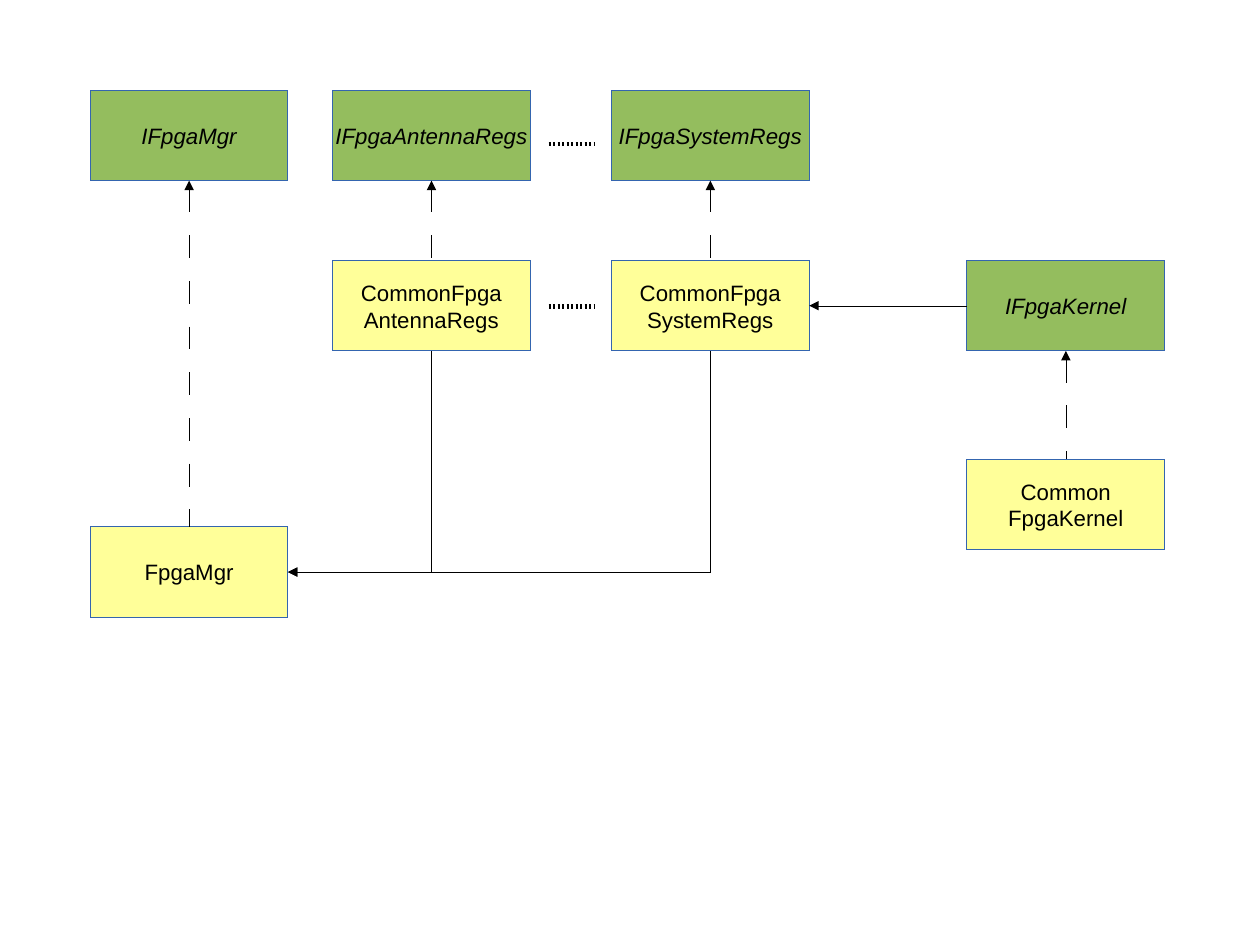
from lxml import etree
from pptx import Presentation
from pptx import util as u
from pptx.dml.color import RGBColor
from pptx.enum import shapes, text
from pptx.oxml import ns

COLORS = {"interface": "94BD5E", "class": "FFFF99", "border": "3465AF", "ink": "000000"}
BOX_WIDTH, BOX_HEIGHT = 1.73, 0.79
TOP, LEFT, BOTTOM, RIGHT = range(4)
INHERIT_DASH = (1885000, 1885000)
DOTS = (50000, 50000)


class ClassDiagram:
    def __init__(self, slide):
        self.slide = slide
        self.font = {"name": "Arial", "size": u.Pt(14)}
        self.frame = {
            "word_wrap": False,
            "vertical_anchor": text.MSO_ANCHOR.MIDDLE,
            "margin_left": u.Inches(0.1),
            "margin_right": u.Inches(0.1),
            "margin_top": u.Inches(0.05),
            "margin_bottom": u.Inches(0.05),
        }

    def color(self, key):
        return RGBColor.from_string(COLORS[key])

    def outline(self, item, key, points=0):
        """Colour the line; a width of 0 is a hairline."""
        item.line.color.rgb = self.color(key)
        ln = item._element.spPr.get_or_add_ln()
        ln.set("w", str(u.Pt(points)))
        return ln

    def box(self, label, kind, left, top):
        box = self.slide.shapes.add_shape(
            shapes.MSO_SHAPE.RECTANGLE,
            *map(u.Inches, (left, top, BOX_WIDTH, BOX_HEIGHT)))
        box.shadow.inherit = False
        box.fill.solid()
        box.fill.fore_color.rgb = self.color(kind)
        self.outline(box, "border")
        for name, value in self.frame.items():
            setattr(box.text_frame, name, value)
        box.text_frame.text = label
        for paragraph in box.text_frame.paragraphs:
            paragraph.alignment = text.PP_ALIGN.CENTER
            font_format = {**self.font, "italic": kind == "interface"}
            for name, value in font_format.items():
                setattr(paragraph.font, name, value)
            paragraph.font.color.rgb = self.color("ink")
        return box

    def line(self, ends=(0, 0, 0, 0), points=0, dash=None, arrow=False, elbow=False):
        kind = shapes.MSO_CONNECTOR.ELBOW if elbow else shapes.MSO_CONNECTOR.STRAIGHT
        line = self.slide.shapes.add_connector(kind, *map(u.Inches, ends))
        ln = self.outline(line, "ink", points)
        if dash:
            pattern = etree.SubElement(ln, ns.qn("a:custDash"))
            etree.SubElement(pattern, ns.qn("a:ds"), d=str(dash[0]), sp=str(dash[1]))
        if arrow:
            etree.SubElement(ln, ns.qn("a:headEnd"), type="triangle")
        spPr = line._element.spPr
        etree.SubElement(spPr, ns.qn("a:effectLst"))
        if elbow:
            spPr.find(ns.qn("a:prstGeom")).set("prst", "bentConnector2")
        return line

    def arrow(self, target, target_side, source, source_side, **style):
        """Join two boxes with the arrowhead at the target."""
        arrow = self.line(arrow=True, **style)
        arrow.begin_connect(target, target_side)
        arrow.end_connect(source, source_side)

    def inherits(self, implementation, interface):
        self.arrow(interface, BOTTOM, implementation, TOP, dash=INHERIT_DASH)


def main():
    deck = Presentation()
    deck.slide_width, deck.slide_height = u.Cm(28), u.Cm(21)
    diagram = ClassDiagram(deck.slides.add_slide(deck.slide_layouts[6]))

    columns = [
        (0.79, "IFpgaMgr", 0.79, "FpgaMgr", 4.61),
        (2.91, "IFpgaAntennaRegs", 0.79, "CommonFpga\nAntennaRegs", 2.28),
        (5.35, "IFpgaSystemRegs", 0.79, "CommonFpga\nSystemRegs", 2.28),
        (8.46, "IFpgaKernel", 2.28, "Common\nFpgaKernel", 4.02),
    ]
    interfaces, classes = [], []
    for left, interface, interface_top, implementation, class_top in columns:
        interfaces.append(diagram.box(interface, "interface", left, interface_top))
        classes.append(diagram.box(implementation, "class", left, class_top))
        diagram.inherits(classes[-1], interfaces[-1])

    manager, antenna_regs, system_regs, _ = classes
    kernel_interface = interfaces[-1]
    diagram.arrow(system_regs, RIGHT, kernel_interface, LEFT)
    for regs in (antenna_regs, system_regs):
        diagram.arrow(manager, RIGHT, regs, BOTTOM, elbow=True)
    for y in (1.26, 2.68):
        diagram.line((4.8, y, 5.2, y), points=2.83, dash=DOTS)

    deck.save("out.pptx")


if __name__ == "__main__":
    main()
